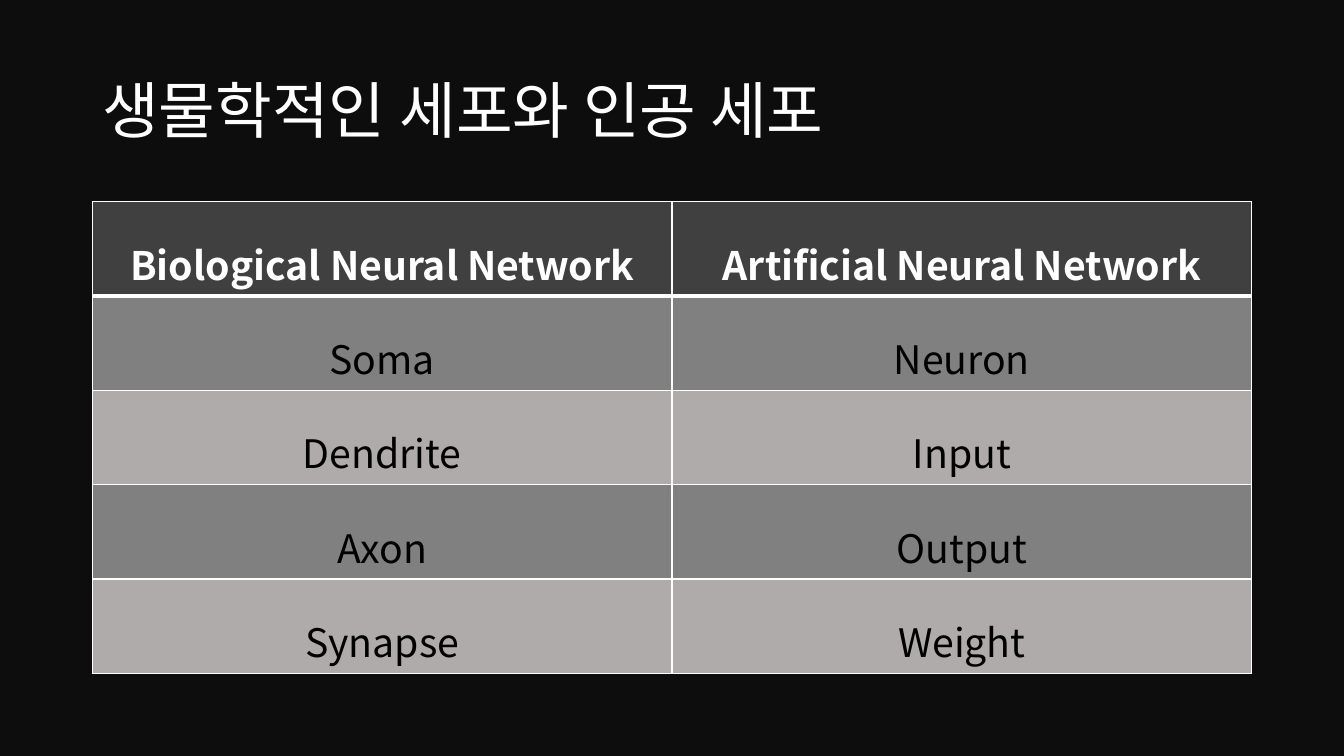
"""Build a slide comparing biological and artificial neural networks."""
from lxml import etree
from pptx import Presentation
from pptx.dml.color import RGBColor
from pptx.enum.text import MSO_ANCHOR, PP_ALIGN
from pptx.oxml.ns import qn
from pptx.util import Pt

MIDDLE = MSO_ANCHOR.MIDDLE
LEFT, CENTER = PP_ALIGN.LEFT, PP_ALIGN.CENTER

TITLE = "생물학적인 세포와 인공 세포"
ROWS = [
    ("Biological Neural Network", "Artificial Neural Network"),
    ("Soma", "Neuron"),
    ("Dendrite", "Input"),
    ("Axon", "Output"),
    ("Synapse", "Weight"),
]

THEME = {
    "font": "Noto Sans CJK KR",
    "background": "0D0D0D",
    "light": "FFFFFF",
    "dark": "000000",
    "header": "404040",
    "bands": ("808080", "AFABAB"),
    "title_size": 44,
    "cell_size": 28,
    "rule": 1,
    "header_rule": 3,
}

SLIDE_W, SLIDE_H = 960, 540
MARGIN = 66
CONTENT_W = SLIDE_W - 2 * MARGIN
TITLE_TOP, TITLE_H = 28.8, 104.4
TABLE_TOP, ROW_H = 144, 67.4


def paint(fill, color):
    fill.solid()
    fill.fore_color.rgb = RGBColor.from_string(color)


def write(tf, text, size, color, align, spacing, bold=False):
    p = tf.paragraphs[0]
    p.alignment = align
    p.line_spacing = spacing
    r = p.add_run()
    r.text = text
    r.font.size = Pt(size)
    r.font.bold = bold
    r.font.name = THEME["font"]
    r.font.color.rgb = RGBColor.from_string(color)
    ea = etree.SubElement(r.font._element, qn("a:ea"))
    ea.set("typeface", THEME["font"])


def add_border(cell, side, width):
    ln = etree.SubElement(cell._tc.get_or_add_tcPr(), qn(f"a:ln{side}"), w=str(Pt(width)))
    fill = etree.SubElement(ln, qn("a:solidFill"))
    etree.SubElement(fill, qn("a:srgbClr"), val=THEME["light"])


def add_title(s):
    box = s.shapes.add_textbox(Pt(MARGIN), Pt(TITLE_TOP), Pt(CONTENT_W), Pt(TITLE_H))
    tf = box.text_frame
    tf.word_wrap = True
    tf.vertical_anchor = MIDDLE
    write(tf, TITLE, THEME["title_size"], THEME["light"], LEFT, 0.9)


def add_comparison(s):
    n_rows, n_cols = len(ROWS), len(ROWS[0])
    table = s.shapes.add_table(n_rows, n_cols, Pt(MARGIN), Pt(TABLE_TOP),
                               Pt(CONTENT_W), Pt(ROW_H * n_rows)).table
    for i, row in enumerate(ROWS):
        table.rows[i].height = Pt(ROW_H)
        header = i == 0
        fill = THEME["header"] if header else THEME["bands"][(i - 1) % 2]
        color = THEME["light"] if header else THEME["dark"]
        top = THEME["header_rule"] if i == 1 else THEME["rule"]
        bottom = THEME["header_rule"] if header else THEME["rule"]
        for j, text in enumerate(row):
            cell = table.cell(i, j)
            for side, width in zip("LRTB", (THEME["rule"], THEME["rule"], top, bottom)):
                add_border(cell, side, width)
            paint(cell.fill, fill)
            write(cell.text_frame, text, THEME["cell_size"], color, CENTER, 1.5, header)


def main():
    prs = Presentation()
    prs.slide_width, prs.slide_height = Pt(SLIDE_W), Pt(SLIDE_H)
    s = prs.slides.add_slide(prs.slide_layouts[6])
    paint(s.background.fill, THEME["background"])
    add_title(s)
    add_comparison(s)
    prs.save("out.pptx")


if __name__ == "__main__":
    main()
